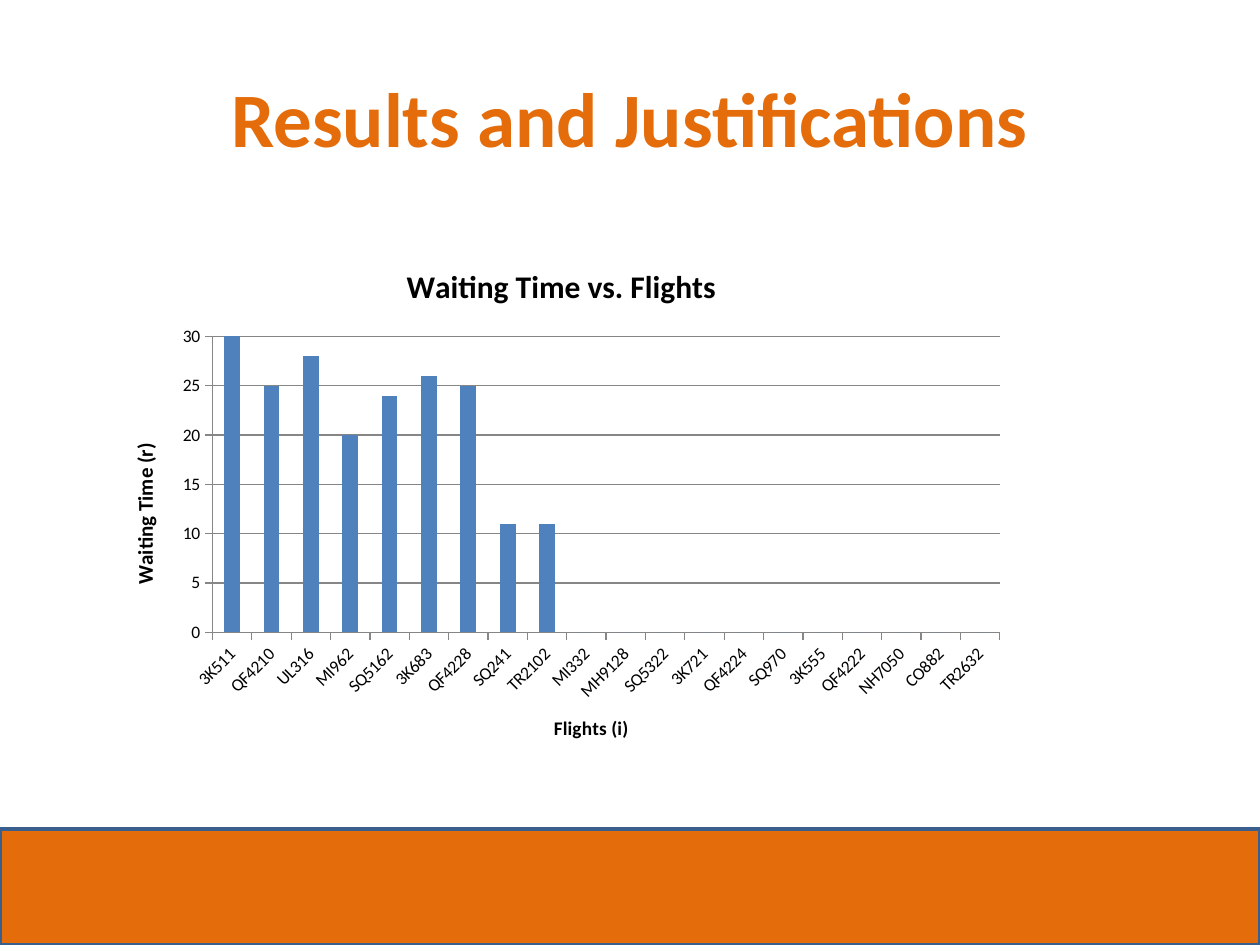
from pptx import Presentation
from pptx.chart.data import CategoryChartData
from pptx.dml.color import RGBColor
from pptx.enum.chart import XL_CHART_TYPE, XL_TICK_MARK
from pptx.enum.shapes import MSO_SHAPE
from pptx.enum.text import MSO_ANCHOR, PP_ALIGN
from pptx.util import Inches, Pt

COLUMNS = XL_CHART_TYPE.COLUMN_CLUSTERED
TICK_OUT = XL_TICK_MARK.OUTSIDE
RECTANGLE = MSO_SHAPE.RECTANGLE
MIDDLE = MSO_ANCHOR.MIDDLE
CENTER = PP_ALIGN.CENTER

ORANGE = RGBColor(0xE4, 0x6C, 0x0A)
BLUE = RGBColor(0x4F, 0x81, 0xBD)
DARK_BLUE = RGBColor(0x3A, 0x5F, 0x8C)
GRAY = RGBColor(0x86, 0x86, 0x86)
BLACK = RGBColor(0, 0, 0)
FONT = "Calibri"

HEADING = "Results and Justifications"
CHART_TITLE = "Waiting Time vs. Flights"
FLIGHT_AXIS_TITLE = "Flights (i)"
TIME_AXIS_TITLE = "Waiting Time (r)"
WAITING_TIMES = [
    ("3K511", 30), ("QF4210", 25), ("UL316", 28), ("MI962", 20),
    ("SQ5162", 24), ("3K683", 26), ("QF4228", 25), ("SQ241", 11),
    ("TR2102", 11), ("MI332", 0), ("MH9128", 0), ("SQ5322", 0),
    ("3K721", 0), ("QF4224", 0), ("SQ970", 0), ("3K555", 0),
    ("QF4222", 0), ("NH7050", 0), ("CO882", 0), ("TR2632", 0),
]


def format_font(font, size, color=BLACK, bold=False):
    for name, value in {"name": FONT, "size": Pt(size), "bold": bold}.items():
        setattr(font, name, value)
    font.color.rgb = color


def write(frame, text, size, color=BLACK):
    """Put one bold centred line into a text frame."""
    frame.text = text
    line = frame.paragraphs[0]
    line.alignment = CENTER
    format_font(line.runs[0].font, size, color, bold=True)


def add_heading(slide):
    heading = slide.shapes.title
    heading.left, heading.top = Inches(0.5), Inches(0.3)
    heading.width, heading.height = Inches(9), Inches(1.25)
    heading.text_frame.vertical_anchor = MIDDLE
    write(heading.text_frame, HEADING, 44, ORANGE)


def add_waiting_chart(slide):
    data = CategoryChartData()
    data.categories = [flight for flight, _ in WAITING_TIMES]
    data.add_series("Series 1", [minutes for _, minutes in WAITING_TIMES])
    chart = slide.shapes.add_chart(
        COLUMNS, Inches(0.83), Inches(1.92), Inches(7.25), Inches(4.17), data
    ).chart

    format_font(chart.font, 10)
    chart.has_legend = False
    chart.has_title = True
    write(chart.chart_title.text_frame, CHART_TITLE, 18)

    plot = chart.plots[0]
    plot.gap_width = 150
    plot.vary_by_categories = False
    bars = plot.series[0].format.fill
    bars.solid()
    bars.fore_color.rgb = BLUE

    flights, times = chart.category_axis, chart.value_axis
    for axis, title, size in ((flights, FLIGHT_AXIS_TITLE, 11),
                              (times, TIME_AXIS_TITLE, 12)):
        write(axis.axis_title.text_frame, title, size)
        axis.major_tick_mark = TICK_OUT
        axis.format.line.color.rgb = GRAY
        axis.format.line.width = Pt(0.75)
        format_font(axis.tick_labels.font, 10)

    times.minimum_scale, times.maximum_scale, times.major_unit = 0, 30, 5
    times.has_major_gridlines = True
    gridlines = times.major_gridlines.format.line
    gridlines.color.rgb = GRAY
    gridlines.width = Pt(0.75)

    # Slant the flight numbers by 45 degrees, in 60000ths of a degree
    slant = flights._element.txPr.bodyPr
    slant.set("rot", str(-45 * 60000))
    slant.set("vert", "horz")


def add_footer_band(slide):
    band = slide.shapes.add_shape(
        RECTANGLE, Inches(0), Inches(6.58), Inches(10), Inches(0.92))
    band.shadow.inherit = False
    band.fill.solid()
    band.fill.fore_color.rgb = ORANGE
    band.line.color.rgb = DARK_BLUE
    band.line.width = Pt(2)


def main():
    deck = Presentation()
    deck.slide_width, deck.slide_height = Inches(10), Inches(7.5)
    slide = deck.slides.add_slide(deck.slide_layouts[5])
    add_waiting_chart(slide)
    add_heading(slide)
    add_footer_band(slide)
    deck.save("out.pptx")


if __name__ == "__main__":
    main()
